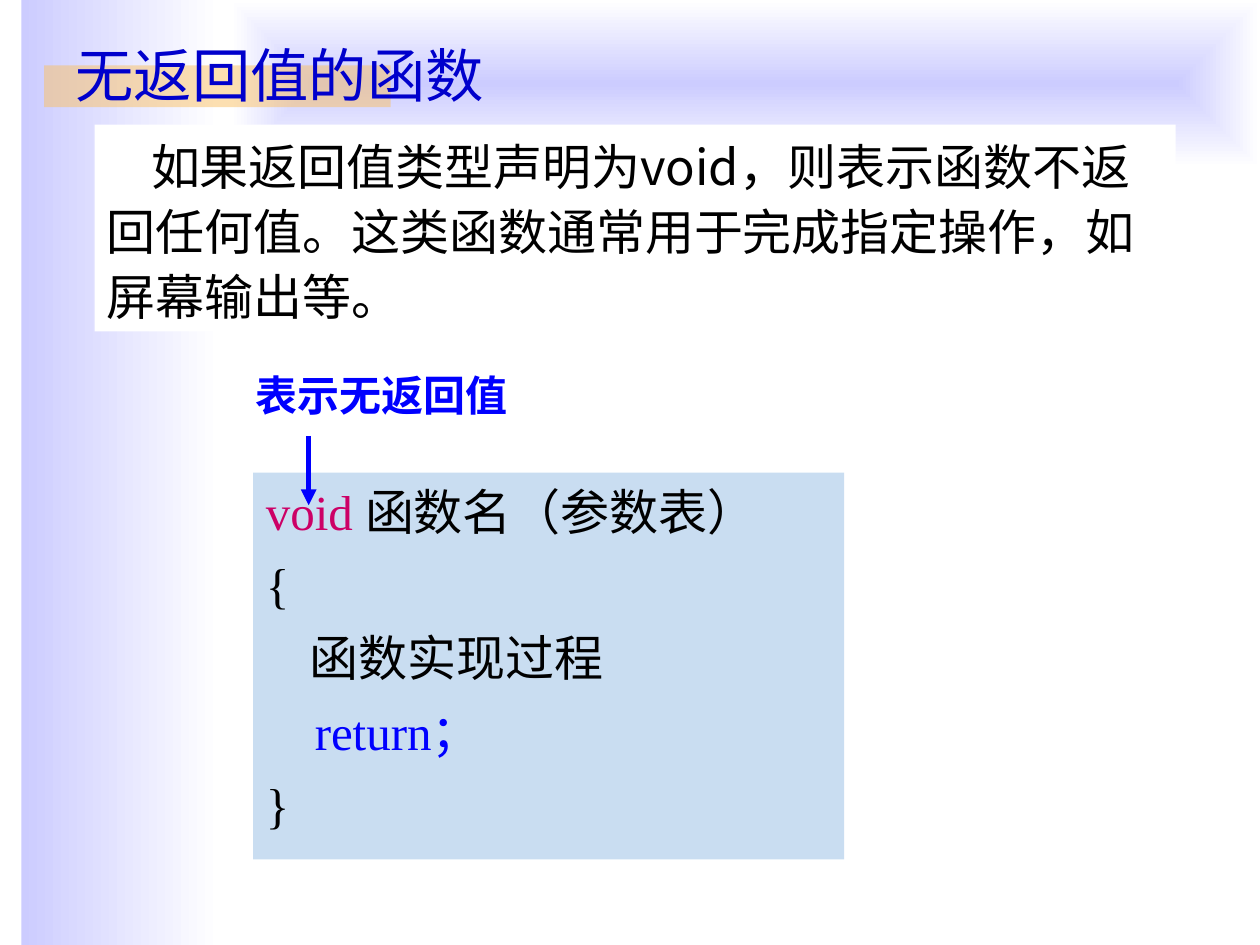
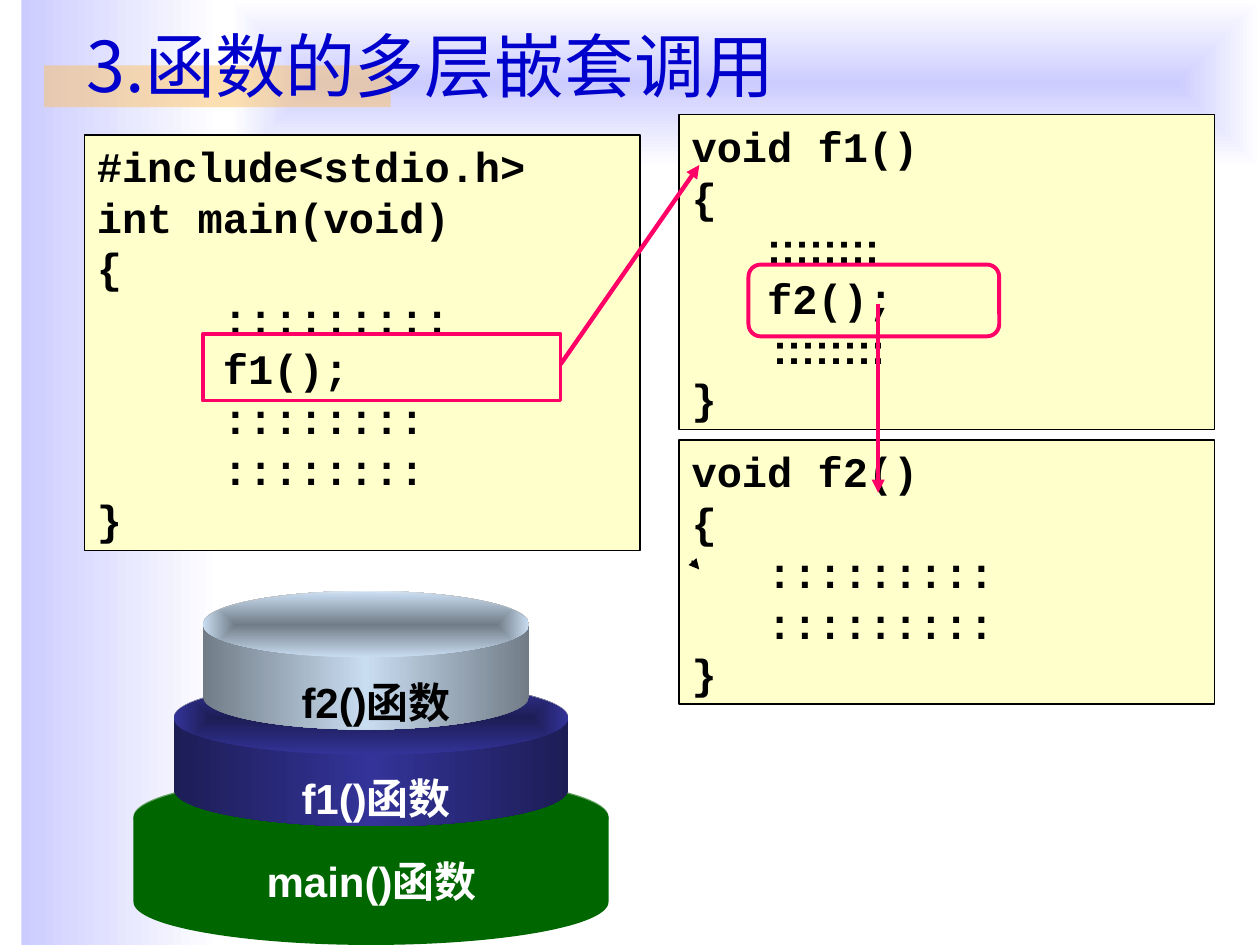
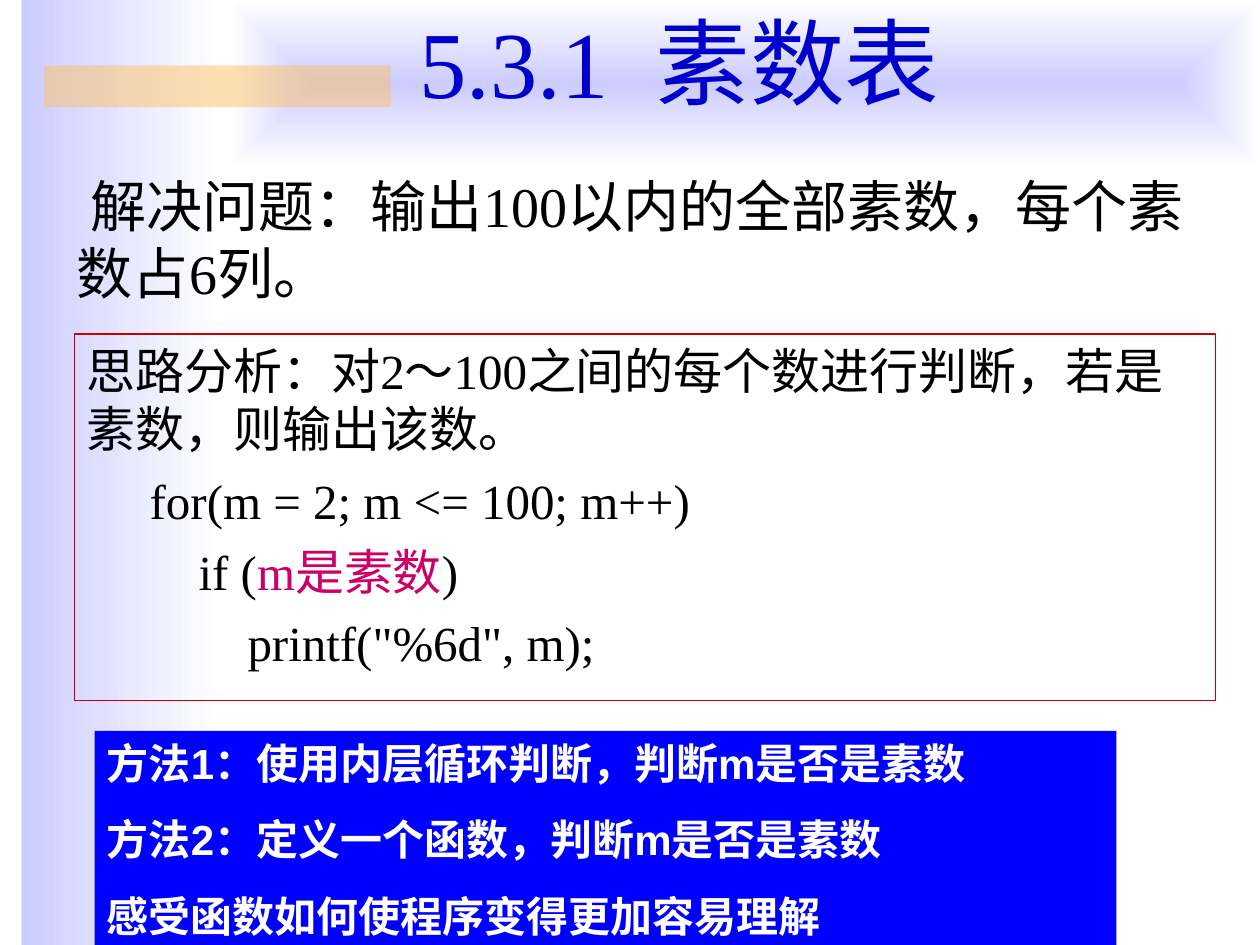
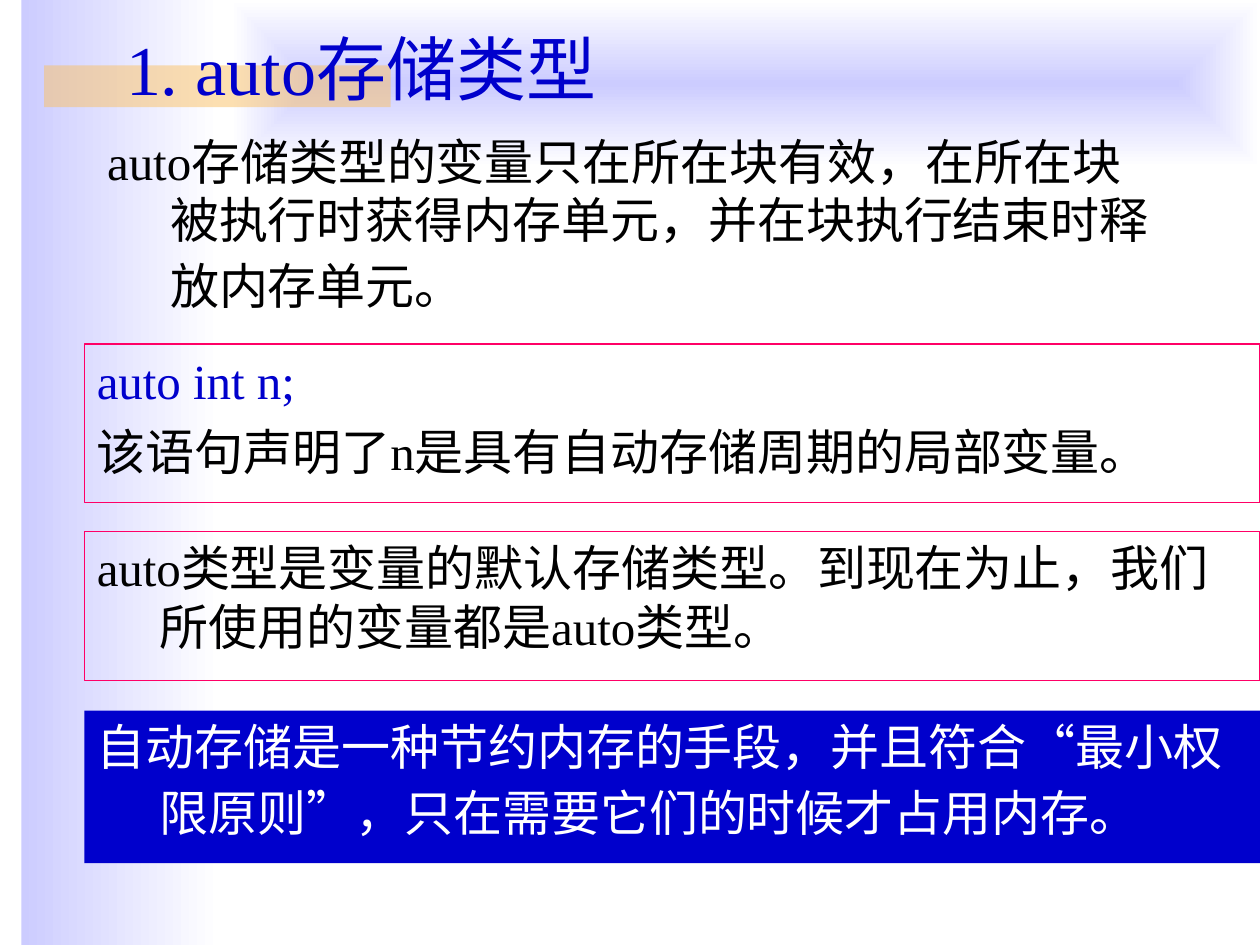
from lxml import etree
from pptx import Presentation
from pptx.dml.color import RGBColor
from pptx.enum.shapes import MSO_CONNECTOR, MSO_SHAPE
from pptx.enum.text import MSO_ANCHOR, MSO_AUTO_SIZE, PP_ALIGN
from pptx.oxml import parse_xml
from pptx.oxml.ns import nsdecls, qn
from pptx.util import Inches, Pt

RECTANGLE, ROUNDED = MSO_SHAPE.RECTANGLE, MSO_SHAPE.ROUNDED_RECTANGLE
CAN, OVAL = MSO_SHAPE.CAN, MSO_SHAPE.OVAL
STRAIGHT = MSO_CONNECTOR.STRAIGHT
LEFT, CENTER, JUSTIFY = PP_ALIGN.LEFT, PP_ALIGN.CENTER, PP_ALIGN.JUSTIFY
TOP, MIDDLE = MSO_ANCHOR.TOP, MSO_ANCHOR.MIDDLE
NO_AUTOSIZE = MSO_AUTO_SIZE.NONE
TITLE_AND_BODY, TITLE_ONLY = 1, 5

SERIF, SANS, MONO, CHINESE = "Times New Roman", "Arial", "Courier New", "Noto Sans CJK SC"
COLORS = {
    "black": "000000", "white": "FFFFFF", "lavender": "CCCCFF", "orange": "FAC164",
    "title": "0000CC", "blue": "0000FF", "magenta": "CC0066", "pink": "FF0066",
    "red": "CC0000", "pale_blue": "C9DDF1", "cream": "FFFFCC", "green": "006600",
    "navy": "333399", "dark_navy": "1D1D56", "slate": "717C87",
}

# Content. A paragraph is a string, a list of runs, or a dict of runs and paragraph format.
VOID_TITLE = "无返回值的函数"
VOID_INTRO = ["如果返回值类型声明为void，则表示函数不返回任何值。这类函数通常用于完成指定操作，如屏幕输出等。"]
VOID_NOTE = "表示无返回值"
VOID_CODE = [
    [("void ", {"color": "magenta"}), "函数名（参数表）"],
    "{",
    "    函数实现过程",
    [("    return；", {"color": "blue"})],
    "}",
]

NESTING_TITLE = "3.函数的多层嵌套调用"
NESTING_CODE = [
    ((0.67, 1.07, 4.41, 3.3),
     ["#include<stdio.h>", "int main(void)", "{", "     :::::::::", "     f1();",
      "     ::::::::", "     ::::::::", "}"]),
    ((5.39, 0.91, 4.25, 2.5),
     ["void f1()", "{", ["   ", ("::::::::", {"font": SANS})], "   f2();",
      [("       ::::::::", {"font": SANS})], "}"]),
    ((5.39, 3.49, 4.25, 2.1),
     ["void f2()", "{", "   :::::::::", "   :::::::::", "}"]),
]
CALL_ARROWS = [((4.45, 2.89), (5.55, 1.31)), ((6.97, 2.41), (6.97, 3.91))]
STACK = [  # label, label place, cylinder place, rim share, edge, middle, text colour
    ("main()函数", (1.85, 6.74, 2.2, 0.5), (1.06, 6.14, 3.77, 1.36), 0.5, "green", "green", "white"),
    ("f1()函数", (2.09, 6.08, 1.79, 0.5), (1.38, 5.4, 3.13, 1.16), 0.5, "dark_navy", "navy", "white"),
    ("f2()函数", (2.09, 5.32, 1.79, 0.5), (1.61, 4.69, 2.59, 1.1), 0.47, "slate", "pale_blue", "black"),
]

PRIME_TITLE = "5.3.1  素数表"
PRIME_TASK = ["解决问题：输出100以内的全部素数，每个素数占6列。"]
CODE_INDENT = {"margin": 0.81, "indent": -0.31}
PRIME_IDEA = [
    "思路分析：对2～100之间的每个数进行判断，若是素数，则输出该数。",
    {"runs": ["for(m = 2; m <= 100; m++)"], **CODE_INDENT},
    {"runs": ["    if (", ("m是素数", {"color": "magenta"}), ")"], **CODE_INDENT},
    {"runs": ['        printf("%6d", m);'], **CODE_INDENT},
]
PRIME_METHODS = [
    "方法1：使用内层循环判断，判断m是否是素数",
    "方法2：定义一个函数，判断m是否是素数",
    "感受函数如何使程序变得更加容易理解",
]

TALL_END = (" ", {"size": 32})  # makes the last line of a paragraph taller
AUTO_TITLE = ["1. auto存储类型", (" ", {"size": 44})]
AUTO_INTRO = [["auto存储类型的变量只在所在块有效，在所在块被执行时获得内存单元，并在块执行结束时释放内存单元。",
               TALL_END]]
AUTO_BOXES = [  # top, height, box format, text colour, paragraphs
    (2.73, 1.26, {"line": "pink"}, "black",
     [[("auto int n;", {"color": "title"})], "该语句声明了n是具有自动存储周期的局部变量。"]),
    (4.22, 1.18, {"line": "pink"}, "black",
     ["auto类型是变量的默认存储类型。到现在为止，我们所使用的变量都是auto类型。"]),
    (5.64, 1.21, {"fill": "title"}, "white",
     [["自动存储是一种节约内存的手段，并且符合“最小权限原则”，只在需要它们的时候才占用内存。",
       TALL_END]]),
]
HANGING = {"margin": 0.5, "indent": -0.5}


def rgb(name):
    return RGBColor.from_string(COLORS[name])


def inches(place):
    return [Inches(value) for value in place]


def add_run(paragraph, text, size, font, color, bold):
    run = paragraph.add_run()
    run.text = text
    run.font.size = Pt(size)
    run.font.bold = bold
    run.font.color.rgb = rgb(color)
    run.font.name = font
    etree.SubElement(run._r.get_or_add_rPr(), qn("a:ea"), typeface=CHINESE)


def format_paragraph(paragraph, align=LEFT, margin=0, indent=0, spacing=1.0, before=0):
    properties = paragraph._p.get_or_add_pPr()
    properties.set("marL", str(Inches(margin)))
    properties.set("indent", str(Inches(indent)))
    etree.SubElement(properties, qn("a:buNone"))
    paragraph.alignment = align
    paragraph.line_spacing = spacing
    paragraph.space_before = Pt(before)


def write_text(shape, paragraphs, size=28, font=SERIF, color="black", bold=False,
               anchor=TOP, wrap=True, before=0, **paragraph_format):
    frame = shape.text_frame
    frame.word_wrap = wrap
    frame.auto_size = NO_AUTOSIZE
    frame.vertical_anchor = anchor
    for index, content in enumerate(paragraphs):
        if not isinstance(content, dict):
            content = {"runs": [content] if isinstance(content, str) else content}
        own_format = {key: value for key, value in content.items() if key != "runs"}
        paragraph = frame.add_paragraph() if index else frame.paragraphs[0]
        format_paragraph(paragraph, before=before if index else 0,
                         **{**paragraph_format, **own_format})
        for run in content["runs"]:
            text, run_format = (run, {}) if isinstance(run, str) else run
            add_run(paragraph, text, **{"size": size, "font": font, "color": color,
                                        "bold": bold, **run_format})


def set_gradient(shape, names, from_center=False):
    """Spread the named colours evenly, left to right or from the centre outwards."""
    stops = "".join(
        f'<a:gs pos="{index * 100000 // (len(names) - 1)}"><a:srgbClr val="{COLORS[name]}"/></a:gs>'
        for index, name in enumerate(names))
    direction = '<a:lin ang="0" scaled="0"/>'
    if from_center:
        direction = ('<a:path path="rect"><a:fillToRect l="50000" t="50000" '
                     'r="50000" b="50000"/></a:path>')
    gradient = parse_xml(f'<a:gradFill {nsdecls("a")} rotWithShape="1">'
                         f'<a:gsLst>{stops}</a:gsLst>{direction}</a:gradFill>')
    shape.fill.background()
    properties = shape.element.spPr
    properties.replace(properties.find(qn("a:noFill")), gradient)


def add_box(shapes, place, kind=RECTANGLE, fill=None, line=None, width=0.75, adjustment=None):
    shape = shapes.add_shape(kind, *inches(place))
    shape.shadow.inherit = False
    if adjustment is not None:
        shape.adjustments[0] = adjustment
    if fill:
        shape.fill.solid()
        shape.fill.fore_color.rgb = rgb(fill)
    else:
        shape.fill.background()
    if line:
        shape.line.color.rgb = rgb(line)
        shape.line.width = Pt(width)
    else:
        shape.line.fill.background()
    return shape


def add_label(shapes, place, text, **text_format):
    label = shapes.add_textbox(*inches(place))
    write_text(label, [text], size=24, font=SANS, bold=True, align=CENTER, **text_format)


def add_arrow(slide, start, end, color, width):
    arrow = slide.shapes.add_connector(STRAIGHT, *inches(start + end))
    arrow.line.color.rgb = rgb(color)
    arrow.line.width = Pt(width)
    etree.SubElement(arrow.line._get_or_add_ln(), qn("a:tailEnd"), type="triangle")
    etree.SubElement(arrow.element.spPr, qn("a:effectLst"))


def fill_placeholder(placeholder, place, paragraphs, **text_format):
    placeholder.left, placeholder.top, placeholder.width, placeholder.height = inches(place)
    write_text(placeholder, paragraphs, **text_format)


def add_slide(presentation, layout, title, place, **title_format):
    slide = presentation.slides.add_slide(presentation.slide_layouts[layout])
    fill_placeholder(slide.shapes.title, place, [title],
                     **{"size": 40, "color": "title", "anchor": MIDDLE, **title_format})
    return slide


def decorate_master(presentation, slide):
    """Make the bands on a slide, then move them behind everything on the master."""
    side_band = add_box(slide.shapes, (0.17, 0, 1.58, 7.5))
    set_gradient(side_band, ["lavender", "white"])
    top_band = add_box(slide.shapes, (1.83, 0, 8.17, 1.33))
    set_gradient(top_band, ["lavender", "white"], from_center=True)
    title_bar = add_box(slide.shapes, (0.35, 0.52, 2.75, 0.33), fill="orange")
    color = title_bar.element.spPr.find(qn("a:solidFill")).find(qn("a:srgbClr"))
    etree.SubElement(color, qn("a:alpha"), val="50000")
    master_tree = presentation.slide_master.shapes.element
    for index, band in enumerate((side_band, top_band, title_bar)):
        band.element.nvSpPr.cNvPr.set("id", str(100 + index))
        master_tree.insert(2 + index, band.element)


def build_void_slide(presentation):
    slide = add_slide(presentation, TITLE_AND_BODY, VOID_TITLE, (0.5, 0.28, 9, 0.69),
                      size=33.3, font=CHINESE, spacing=0.9)
    decorate_master(presentation, slide)
    body = slide.placeholders[1]
    body.fill.solid()
    body.fill.fore_color.rgb = rgb("pale_blue")
    fill_placeholder(body, (2.01, 3.75, 4.69, 3.07), VOID_CODE,
                     align=JUSTIFY, spacing=1.04, before=7, **HANGING)
    intro = add_box(slide.shapes, (0.75, 0.99, 8.58, 1.64), fill="white")
    write_text(intro, VOID_INTRO, font=CHINESE, spacing=1.1, indent=0.35)
    add_arrow(slide, (2.45, 3.46), (2.45, 4.01), "blue", 3)
    add_label(slide.shapes, (1.93, 2.88, 2.2, 0.5), VOID_NOTE, color="blue", wrap=False)


def add_stack_level(slide, label, label_place, place, rim, edge, middle, text_color):
    shapes = slide.shapes.add_group_shape().shapes
    left, top, width, height = place
    body = add_box(shapes, place, CAN, fill=edge, adjustment=rim)
    lid = add_box(shapes, (left, top + 0.01, width, height * rim), OVAL, fill=edge)
    if edge != middle:
        set_gradient(body, [edge, middle, edge])
        set_gradient(lid, [edge, middle], from_center=True)
    add_label(shapes, label_place, label, color=text_color)


def build_nesting_slide(presentation):
    slide = add_slide(presentation, TITLE_ONLY, NESTING_TITLE, (0.59, 0, 8.81, 1.02), font=CHINESE)
    for place, code in NESTING_CODE:
        box = add_box(slide.shapes, place, fill="cream", line="black", width=1)
        write_text(box, code, size=24, font=MONO, bold=True)
    add_arrow(slide, (5.49, 4.45), (5.55, 4.52), "black", 0.75)
    add_box(slide.shapes, (1.61, 2.65, 2.84, 0.53), line="pink", width=2)
    add_box(slide.shapes, (5.94, 2.1, 1.99, 0.57), ROUNDED, line="pink", width=2.25,
            adjustment=0.17)
    for level in STACK:
        add_stack_level(slide, *level)
    for start, end in CALL_ARROWS:
        add_arrow(slide, start, end, "pink", 2.5)


def build_prime_slide(presentation):
    slide = add_slide(presentation, TITLE_AND_BODY, PRIME_TITLE, (1.14, -0.03, 8.5, 1.02),
                      size=54, align=CENTER)
    fill_placeholder(slide.placeholders[1], (0.51, 1.31, 9, 4.25), PRIME_TASK,
                     size=32, indent=0.11)
    methods = add_box(slide.shapes, (0.75, 5.8, 8.11, 1.72), fill="blue")
    write_text(methods, PRIME_METHODS, size=24, font=SANS, color="white", bold=True,
               before=15, margin=0.38, indent=-0.38)
    idea = add_box(slide.shapes, (0.59, 2.65, 9.06, 2.91), line="red")
    write_text(idea, PRIME_IDEA, before=7)


def build_auto_slide(presentation):
    slide = add_slide(presentation, TITLE_AND_BODY, AUTO_TITLE, (0.9, 0, 8.74, 1.02))
    fill_placeholder(slide.placeholders[1], (0.75, 0.99, 8.58, 1.65), AUTO_INTRO, **HANGING)
    for top, height, box_format, color, paragraphs in AUTO_BOXES:
        box = add_box(slide.shapes, (0.67, top, 9.33, height), **box_format)
        write_text(box, paragraphs, color=color, before=7, **HANGING)


def main():
    presentation = Presentation()
    presentation.slide_width, presentation.slide_height = Inches(10), Inches(7.5)
    build_void_slide(presentation)
    build_nesting_slide(presentation)
    build_prime_slide(presentation)
    build_auto_slide(presentation)
    presentation.save("out.pptx")


if __name__ == "__main__":
    main()
